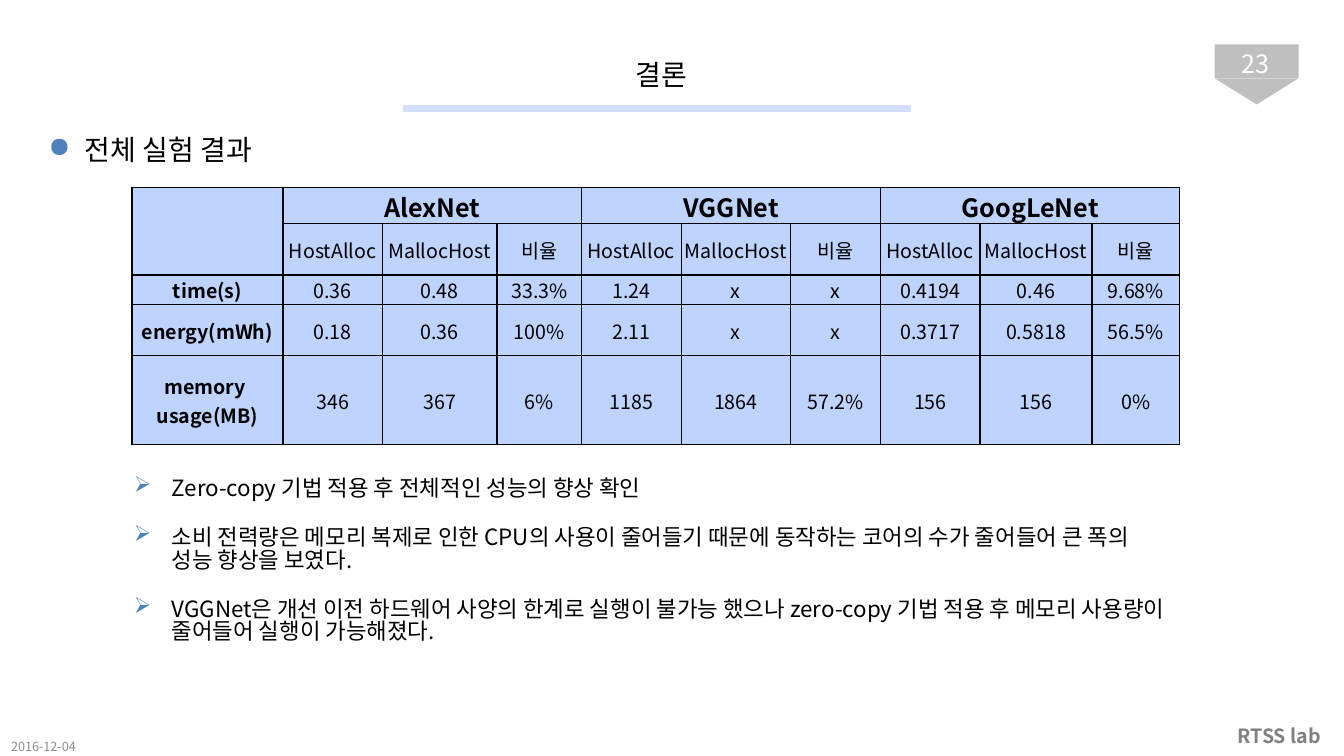
from lxml.etree import SubElement as Sub
from pptx import Presentation
from pptx.dml.color import RGBColor
from pptx.enum.shapes import MSO_CONNECTOR as Conn, MSO_SHAPE as Shape
from pptx.enum.text import MSO_ANCHOR as Anchor, PP_ALIGN as Align
from pptx.oxml.ns import qn
from pptx.util import Pt


def paint(target, color):
    target.solid()
    target.fore_color.rgb = RGBColor.from_string(color)


class Deck:
    face = "Noto Sans CJK KR"
    black = "000000"
    blue = "4F81BD"
    gray = "BFBFBF"
    pale = "D4DEFF"
    cell = "BFD3FF"
    tight = 0.83

    def __init__(self, slide):
        self.slide = slide
        self.shapes = slide.shapes

    def style(self, para, size, color=None, bold=False, align=Align.LEFT):
        para.alignment = align
        font = para.font
        font.name = self.face
        font.size = Pt(size)
        font.bold = bold
        paint(font.fill, color or self.black)
        Sub(font._element, qn("a:ea"), typeface=self.face)

    def bullet(self, para, mark, indent):
        props = para._p.get_or_add_pPr()
        props.set("marL", str(Pt(indent)))
        props.set("indent", str(-Pt(indent)))
        tint = props.makeelement(qn("a:buClr"))
        Sub(tint, qn("a:srgbClr"), val=self.blue)
        sign = props.makeelement(qn("a:buChar"), char=mark)
        font = props.find(qn("a:defRPr"))
        font.addprevious(tint)
        font.addprevious(sign)

    def frame(self, box, inset=(7.9, 4.3), anchor=Anchor.MIDDLE):
        frame = self.shapes.add_textbox(*map(Pt, box)).text_frame
        frame.word_wrap = True
        frame.vertical_anchor = anchor
        frame.margin_left = frame.margin_right = Pt(inset[0])
        frame.margin_top = frame.margin_bottom = Pt(inset[1])
        return frame

    def label(self, box, text, size, color=None, bold=False, align=Align.CENTER):
        para = self.frame(box).paragraphs[0]
        para.text = text
        self.style(para, size, color, bold, align)

    def points(self, box, lines, size, mark, indent, gap=0, inset=(7.9, 4.3)):
        frame = self.frame(box, inset, Anchor.TOP)
        for index, line in enumerate(lines):
            para = frame.add_paragraph() if index else frame.paragraphs[0]
            para.text = line
            para.line_spacing = self.tight
            para.space_before = Pt(gap if index else 0)
            self.style(para, size)
            self.bullet(para, mark, indent)

    def block(self, kind, box, turn=0):
        shape = self.shapes.add_shape(kind, *map(Pt, box))
        shape.shadow.inherit = False
        shape.rotation = turn
        paint(shape.fill, self.gray)
        shape.line.fill.background()

    def rule(self, left, right, top, width):
        line = self.shapes.add_connector(
            Conn.STRAIGHT, Pt(left), Pt(top), Pt(right), Pt(top))
        paint(line.line.fill, self.pale)
        line.line.width = Pt(width)
        Sub(line._element.spPr, qn("a:effectLst"))

    def edge(self, cell):
        props = cell._tc.get_or_add_tcPr()
        for index, side in enumerate(("lnL", "lnR", "lnT", "lnB")):
            line = props.makeelement(qn(f"a:{side}"), w=str(Pt(1)))
            fill = Sub(line, qn("a:solidFill"))
            Sub(fill, qn("a:srgbClr"), val=self.black)
            props.insert(index, line)

    def grid(self, left, top, cols, rows, data, spans):
        table = self.shapes.add_table(
            len(rows), len(cols), Pt(left), Pt(top),
            Pt(sum(cols)), Pt(sum(rows))).table
        for col, width in zip(table.columns, cols):
            col.width = Pt(width)
        for row, height in zip(table.rows, rows):
            row.height = Pt(height)
        for y, line in enumerate(data):
            for x, text in enumerate(line):
                cell = table.cell(y, x)
                cell.vertical_anchor = Anchor.MIDDLE
                cell.margin_left = cell.margin_right = Pt(0.7)
                cell.margin_top, cell.margin_bottom = Pt(0.7), 0
                paint(cell.fill, self.cell)
                self.edge(cell)
                para = cell.text_frame.paragraphs[0]
                para.text = text
                self.style(para, 14 if y else 18, bold=y == 0 or x == 0,
                           align=Align.CENTER)
        for first, last in spans:
            table.cell(*first).merge(table.cell(*last))


def main():
    show = Presentation()
    show.slide_width, show.slide_height = Pt(960), Pt(540)
    deck = Deck(show.slides.add_slide(show.slide_layouts[6]))

    deck.block(Shape.RECTANGLE, (867.6, 31.7, 60, 24.2))
    deck.block(Shape.ISOSCELES_TRIANGLE, (867.6, 55.9, 60, 18.7), 180)
    deck.rule(288, 651, 77.3, 5)
    deck.label((867.6, 34.6, 58.3, 21.6), "23", 18, "FFFFFF")
    deck.label((147.6, 31.7, 650, 42.5), "결론", 20)
    deck.label((867.6, 511.2, 92.4, 28.8), "RTSS lab", 14, "808080", True)
    deck.label((0, 525.6, 75.6, 15), "2016-12-04", 9, "8C8C8C", align=Align.LEFT)
    deck.points((26.6, 94.3, 467.3, 32.4), ["전체 실험 결과"], 20, "●", 26)

    nets = ["AlexNet", "VGGNet", "GoogLeNet"]
    data = [
        [""] + [part for net in nets for part in (net, "", "")],
        [""] + ["HostAlloc", "MallocHost", "비율"] * len(nets),
        ["time(s)", "0.36", "0.48", "33.3%", "1.24", "x", "x",
         "0.4194", "0.46", "9.68%"],
        ["energy(mWh)", "0.18", "0.36", "100%", "2.11", "x", "x",
         "0.3717", "0.5818", "56.5%"],
        ["memory \nusage(MB)", "346", "367", "6%", "1185", "1864", "57.2%",
         "156", "156", "0%"],
    ]
    spans = [((0, 0), (1, 0))] + [((0, x), (0, x + 2)) for x in (1, 4, 7)]
    cols = [107.8, 71, 82, 60.5, 71, 78.2, 64.4, 71, 80, 62.6]
    deck.grid(94.3, 133.9, cols, [25.9, 36.7, 21, 36.7, 63.4], data, spans)

    notes = [
        "Zero-copy 기법 적용 후 전체적인 성능의 향상 확인",
        "소비 전력량은 메모리 복제로 인한 CPU의 사용이 줄어들기 때문에 동작하는 "
        "코어의 수가 줄어들어 큰 폭의 성능 향상을 보였다.",
        "VGGNet은 개선 이전 하드웨어 사양의 한계로 실행이 불가능 했으나 zero-copy "
        "기법 적용 후 메모리 사용량이 줄어들어 실행이 가능해졌다.",
    ]
    deck.points((88.6, 338.4, 753.8, 162.7), notes, 16, "➢", 27, 19.2, (7.2, 3.6))

    show.save("out.pptx")


if __name__ == "__main__":
    main()
